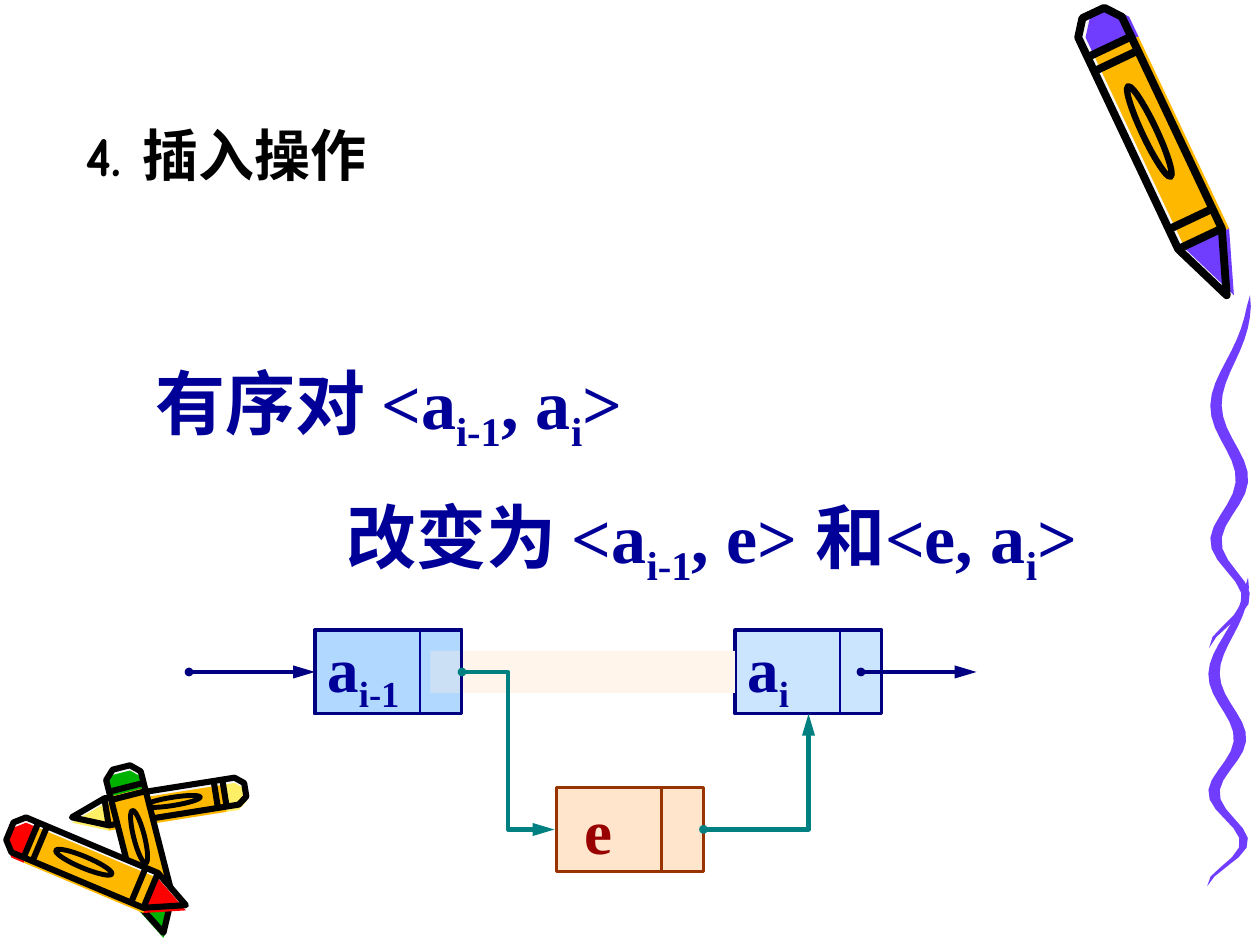
from math import atan2, cos, degrees, hypot, pi, sin, sqrt

from lxml.etree import SubElement
from pptx import Presentation
from pptx.dml.color import RGBColor
from pptx.enum.shapes import MSO_CONNECTOR as CONN, MSO_SHAPE as SHAPE
from pptx.enum.text import MSO_ANCHOR as ANCHOR, MSO_AUTO_SIZE as AUTO, PP_ALIGN as ALIGN
from pptx.oxml.ns import qn
from pptx.util import Inches, Pt

COLS, ROWS = 60, 45
UNIT = Inches(10) / COLS
BLACK = RGBColor(0x00, 0x00, 0x00)
OFFWHITE = RGBColor(0xF8, 0xF8, 0xF8)
PURPLE = RGBColor(0x70, 0x3D, 0xFF)
AMBER = RGBColor(0xFF, 0xB8, 0x00)
YELLOW = RGBColor(0xFF, 0xEF, 0x66)
RED = RGBColor(0xFF, 0x00, 0x00)
GREEN = RGBColor(0x00, 0xB2, 0x00)
NAVY = RGBColor(0x00, 0x00, 0x80)
BLUE = RGBColor(0x00, 0x00, 0x99)
SKY = RGBColor(0x99, 0xCC, 0xFF)
PEACH = RGBColor(0xFF, 0xCC, 0x99)
CREAM = RGBColor(0xFF, 0xF5, 0xEB)
BROWN = RGBColor(0x99, 0x33, 0x00)
MAROON = RGBColor(0x99, 0x00, 0x00)
TEAL = RGBColor(0x00, 0x80, 0x80)
SERIF, COMIC = "Times New Roman", "Comic Neue"
BEVEL, CAP, SHOULDER = 0.05, 0.12, 0.8
BANDS = (CAP, 0.17, 0.73, SHOULDER)


def grid(*cells):
    """Turn grid units into slide lengths."""
    return [round(c * UNIT) for c in cells]


def style(sp, fill=None, line=None, width=0, alpha=100):
    """Set the fill, border and transparency of a shape."""
    sp.shadow.inherit = False
    if fill is None:
        sp.fill.background()
    else:
        sp.fill.solid()
        sp.fill.fore_color.rgb = fill
    if alpha < 100:
        clr = sp._element.spPr.find(qn("a:solidFill"))[0]
        SubElement(clr, qn("a:alpha"), val=str(alpha * 1000))
    if line is None:
        sp.line.fill.background()
    else:
        sp.line.color.rgb = line
        sp.line.width = Pt(width)
    return sp


def add_polygon(s, points, **look):
    """Add a closed outline through grid points."""
    first, *rest = [grid(*pt) for pt in points]
    fb = s.shapes.build_freeform(*first, scale=1.0)
    fb.add_line_segments(rest, close=True)
    return style(fb.convert_to_shape(), **look)


def add_rect(s, box, **look):
    """Add a rectangle in a grid box."""
    return style(s.shapes.add_shape(SHAPE.RECTANGLE, *grid(*box)), **look)


def add_line(s, start, end, color, width, kind=CONN.STRAIGHT, arrow=False):
    """Join two grid points, with a dot and an arrowhead if asked."""
    cxn = s.shapes.add_connector(kind, *grid(*start, *end))
    cxn.line.color.rgb = color
    cxn.line.width = Pt(width)
    if arrow:
        ln = cxn.line._get_or_add_ln()
        SubElement(ln, qn("a:headEnd"), type="oval", w="sm", len="sm")
        SubElement(ln, qn("a:tailEnd"), type="triangle", w="med", len="lg")
    SubElement(cxn._element.spPr, qn("a:effectLst"))
    return cxn


def add_runs(p, texts, size, color, font=SERIF):
    """Add bold runs, every second one a subscript."""
    p.alignment = ALIGN.LEFT
    for i, text in enumerate(texts):
        r = p.add_run()
        r.text = text
        r.font.name, r.font.size, r.font.bold = font, Pt(size), True
        r.font.color.rgb = color
        if i % 2:
            r._r.get_or_add_rPr().set("baseline", "-25000")


def draw_crayon(s, end, tip, width, cap_color, tip_color, weight, shift):
    """Draw a crayon from its blunt end to its tip, with the colour shifted off the outline."""
    dx, dy = tip[0] - end[0], tip[1] - end[1]
    length = hypot(dx, dy)

    def place(along, across, off=(0, 0)):
        """Turn shares of the crayon's length and width into a grid point."""
        side = across * width / length
        return (end[0] + along * dx - side * dy + off[0], end[1] + along * dy + side * dx + off[1])

    blunt = [(BEVEL, -0.5), (0, -0.25), (0, 0.25), (BEVEL, 0.5)]
    point = [(SHOULDER, 0.5), (1, 0), (SHOULDER, -0.5)]
    cap = blunt + [(CAP, 0.5), (CAP, -0.5)]
    barrel = [(CAP, -0.5), (CAP, 0.5), (SHOULDER, 0.5), (SHOULDER, -0.5)]
    outline = [place(*pt) for pt in blunt + point]
    add_polygon(s, outline, fill=OFFWHITE)
    for part, color in ((cap, cap_color), (barrel, AMBER), (point, tip_color)):
        add_polygon(s, [place(*pt, shift) for pt in part], fill=color)
    add_polygon(s, outline, line=BLACK, width=weight)
    for along in BANDS:
        add_line(s, place(along, -0.5), place(along, 0.5), BLACK, weight)

    w, h = length * 0.32, width * 0.3
    cx, cy = place(0.42, 0)
    ring = s.shapes.add_shape(SHAPE.OVAL, *grid(cx - w / 2, cy - h / 2, w, h))
    ring.rotation = degrees(atan2(dy, dx))
    style(ring, line=BLACK, width=weight * 0.8)


def draw_squiggle(s, box, steps=32):
    """Draw a tapered wave that quickens from the top of a box to its foot."""
    x, y, w, h = box
    left, right = [], []
    for i in range(steps + 1):
        t = i / steps
        swing = 0.28 + 0.18 * (1 - 2 * t) ** 2
        middle = 0.5 + swing * cos(5 * pi * t ** 1.4)
        half = 0.14 * sqrt(abs(sin(pi * t)))
        left.append((x + w * (middle - half), y + h * t))
        right.append((x + w * (middle + half), y + h * t))
    add_polygon(s, left + right[::-1], fill=PURPLE)


def draw_crayon_pile(s, box):
    """Draw three crossing crayons by shares of a box."""
    x, y, w, h = box
    pile = [((0.99, 0.16), (0.29, 0.32), 1.3, YELLOW, YELLOW),
            ((0.49, 0.03), (0.66, 0.99), 1.7, GREEN, GREEN),
            ((0.04, 0.4), (0.75, 0.83), 1.8, RED, RED)]
    for end, tip, *look in pile:
        ends = [(x + w * px, y + h * py) for px, py in (end, tip)]
        draw_crayon(s, *ends, *look, weight=3.5, shift=(0, 0.25))


def draw_pencil_trail(s, box):
    """Draw the large crayon and, below it, its wavy stroke in two lengths."""
    x, y, w, h = box
    draw_squiggle(s, (x + w * 0.75, y + h * 0.65, w * 0.23, h * 0.35))
    draw_squiggle(s, (x + w * 0.76, y + h * 0.33, w * 0.23, h * 0.4))
    draw_crayon(s, (x + w * 0.17, y + h * 0.01), (x + w * 0.86, y + h * 0.33), 2.3,
                PURPLE, PURPLE, weight=4.5, shift=(0.35, 0))


def add_node(s, box, texts, fill, border, color, divider):
    """Draw a list node: a data field and a pointer field."""
    x, y, w, h = box
    line, width = border
    tf = add_rect(s, box, fill=fill, line=line, width=width, alpha=50).text_frame
    tf.word_wrap, tf.vertical_anchor = False, ANCHOR.MIDDLE
    add_runs(tf.paragraphs[0], texts, 36, color)
    split = x + w * 5 / 7
    add_line(s, (split, y), (split, y + h), *divider)


def add_title(s, box):
    """Place and format the title."""
    sp = s.shapes.title
    sp.left, sp.top, sp.width, sp.height = grid(*box)
    tf = sp.text_frame
    tf.auto_size, tf.vertical_anchor, tf.word_wrap = AUTO.NONE, ANCHOR.TOP, True
    add_runs(tf.paragraphs[0], ["4. 插入操作"], 32, BLACK, COMIC)


def add_statement(s, box):
    """Write how the ordered pair changes."""
    tf = s.shapes.add_textbox(*grid(*box)).text_frame
    tf.word_wrap = True
    lines = [(0.76, ["有序对 <a", "i-1", ", a", "i", ">"]),
             (9.84, ["改变为 <a", "i-1", ", e> 和<e, a", "i", ">"])]
    for i, (indent, texts) in enumerate(lines):
        p = tf.add_paragraph() if i else tf.paragraphs[0]
        p.line_spacing = 1.4
        p._p.get_or_add_pPr().set("marL", str(grid(indent)[0]))
        add_runs(p, texts, 40, BLUE)


def add_diagram(s, box):
    """Draw the insertion of node e between two linked nodes."""
    x, y, w, h = box
    node_w, node_h = 7, 4
    before, after, new = x + 6, x + 26, x + 17.5
    new_top = y + h - node_h
    mid, low = y + node_h / 2, new_top + node_h / 2
    linked = (SKY, (NAVY, 1.75), BLUE, (BLUE, 0.75))
    inserted = (PEACH, (BROWN, 2), MAROON, (BROWN, 2))

    add_rect(s, (before, y, node_w, node_h), fill=SKY, line=NAVY, width=1.75, alpha=50)
    add_line(s, (x, mid), (before, mid), NAVY, 2.5, arrow=True)
    add_node(s, (new, new_top, node_w, node_h), [" e"], *inserted)
    add_node(s, (after, y, node_w, node_h), ["a", "i"], *linked)
    add_line(s, (after + 6, mid), (x + w, mid), NAVY, 2.5, arrow=True)
    add_rect(s, (before + 5.5, y + 1, 14.5, 2), fill=CREAM)
    add_node(s, (before, y, node_w, node_h), ["a", "i-1"], *linked)
    add_line(s, (before + node_w, mid), (new - 0.1, low), TEAL, 2.5, CONN.ELBOW, True)
    up = add_line(s, (new + node_w, low), (after + node_w / 2, y + node_h), TEAL, 2.5, CONN.ELBOW, True)
    up._element.spPr.find(qn("a:prstGeom")).set("prst", "bentConnector2")


def main():
    """Build the slide and save it."""
    prs = Presentation()
    prs.slide_width, prs.slide_height = grid(COLS, ROWS)
    s = prs.slides.add_slide(prs.slide_layouts[5])
    draw_crayon_pile(s, (0, 36.3, 11.8, 8.2))
    draw_pencil_trail(s, (50.5, 0.2, 9.2, 42))
    add_title(s, (3.48, 5.46, 29.82, 3.84))
    add_statement(s, (6.06, 15, 51.36, 17.34))
    add_diagram(s, (9, 30, 37.5, 11.5))
    prs.save("out.pptx")


if __name__ == "__main__":
    main()
